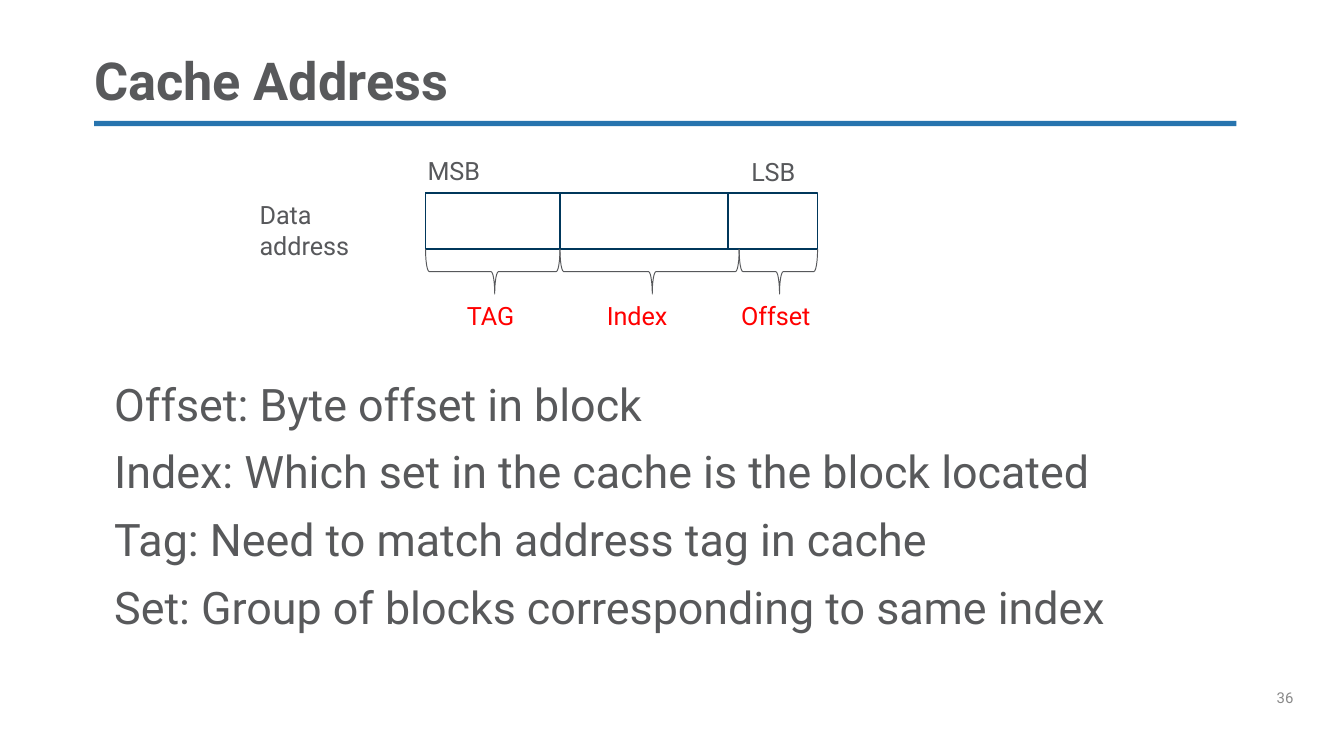
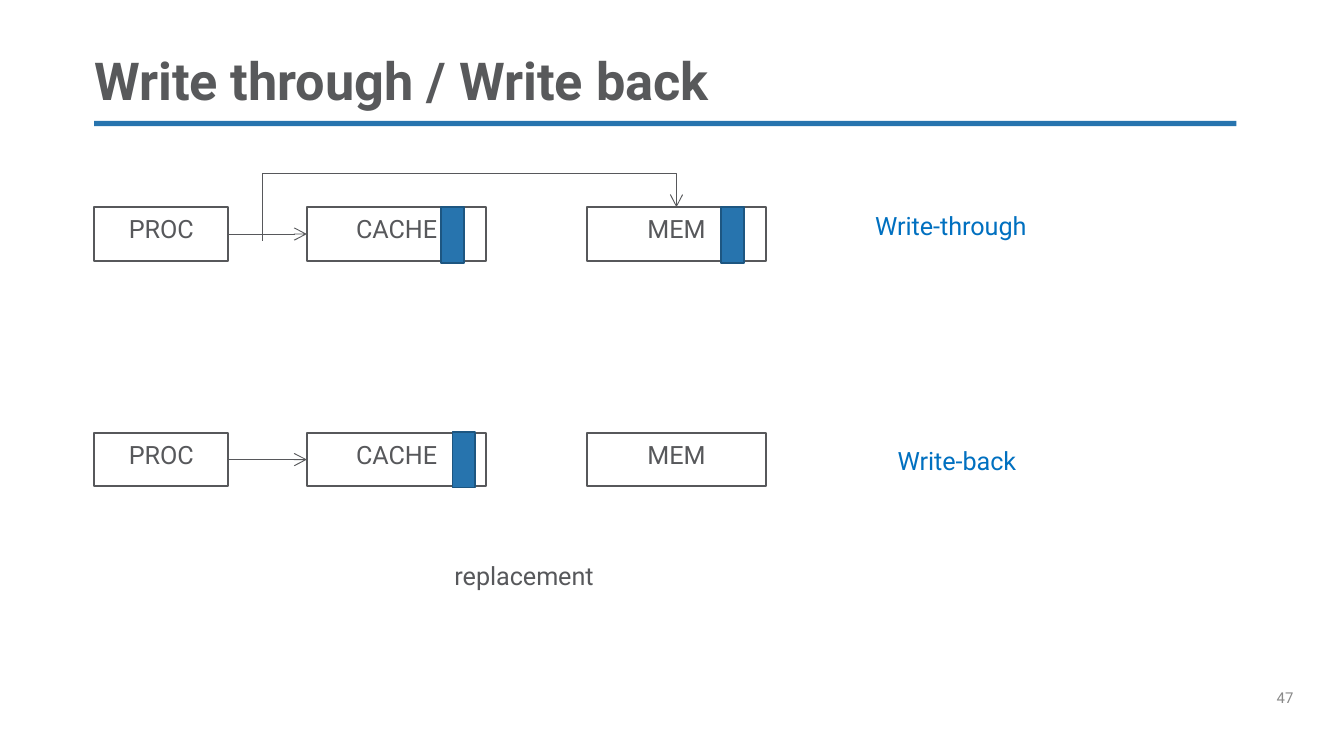
from dataclasses import dataclass

from lxml.etree import SubElement
from pptx import Presentation
from pptx.dml.color import RGBColor
from pptx.enum.shapes import MSO_CONNECTOR, MSO_SHAPE
from pptx.enum.text import MSO_ANCHOR, MSO_AUTO_SIZE, PP_ALIGN
from pptx.oxml.ns import qn
from pptx.util import Inches, Pt

FONT = "Roboto"
WHITE = RGBColor(0xFF, 0xFF, 0xFF)
GRAY = RGBColor(0x57, 0x58, 0x5B)
TITLE_GRAY = RGBColor(0x58, 0x59, 0x5B)
PAGE_GRAY = RGBColor(0x89, 0x89, 0x89)
BLUE = RGBColor(0x27, 0x74, 0xAE)
DARK_BLUE = RGBColor(0x1D, 0x56, 0x81)
NAVY = RGBColor(0x00, 0x37, 0x5B)
LABEL_BLUE = RGBColor(0x00, 0x70, 0xC0)
RED = RGBColor(0xFF, 0x00, 0x00)

SLIDE_WIDTH, SLIDE_HEIGHT = Inches(10), Inches(5.625)
COLUMNS, ROWS = 120, 67.5
FLUSH = {"margin_left": 0, "margin_top": 0, "margin_right": 0, "margin_bottom": 0}


@dataclass
class Box:
    """A rectangle in grid columns and rows of the slide."""

    column: float
    row: float
    columns: float
    rows: float

    def inner(self, column, row, columns, rows):
        """Return a box offset from this one's top left corner."""
        return Box(self.column + column, self.row + row, columns, rows)

    def point(self, column, row):
        """Return the slide position of a point offset from the top left corner."""
        return across(self.column + column), down(self.row + row)

    def frame(self):
        """Return left, top, width and height as slide lengths."""
        return across(self.column), down(self.row), across(self.columns), down(self.rows)


def across(columns):
    """Convert grid columns to a length."""
    return round(SLIDE_WIDTH * columns / COLUMNS)


def down(rows):
    """Convert grid rows to a length."""
    return round(SLIDE_HEIGHT * rows / ROWS)


def apply(target, values):
    """Set each attribute of a target from a dict."""
    for name, value in values.items():
        setattr(target, name, value)


def write(shape, text, color=GRAY, size=13.5, bold=False, frame=None, para=None):
    """Fill a shape with one paragraph for each line of text."""
    text_frame = shape.text_frame
    apply(text_frame, {"word_wrap": True, "auto_size": MSO_AUTO_SIZE.SHAPE_TO_FIT_TEXT,
                       "vertical_anchor": MSO_ANCHOR.TOP, **(frame or {})})
    for number, line in enumerate(text.split("\n")):
        paragraph = text_frame.add_paragraph() if number else text_frame.paragraphs[0]
        apply(paragraph, para or {})
        span = paragraph.add_run()
        span.text = line
        apply(span.font, {"name": FONT, "size": Pt(size), "bold": bold})
        span.font.color.rgb = color


def add_text(page, box, text, **style):
    """Add a text box."""
    shape = page.shapes.add_textbox(*box.frame())
    write(shape, text, **style)
    return shape


def add_label(page, box, text, color=GRAY, **style):
    """Add a short label that does not wrap."""
    return add_text(page, box, text, color=color, frame={"word_wrap": False}, **style)


def add_rectangle(page, box, fill=WHITE, line=None):
    """Add a flat rectangle with an optional outline."""
    shape = page.shapes.add_shape(MSO_SHAPE.RECTANGLE, *box.frame())
    shape.shadow.inherit = False
    shape.fill.solid()
    shape.fill.fore_color.rgb = fill
    if line is None:
        shape.line.fill.background()
    else:
        shape.line.color.rgb = line
        shape.line.width = Pt(1)
    return shape


def add_brace(page, box):
    """Add a brace that opens upward and fills the box."""
    left, top, width, height = box.frame()
    shift = (width - height) // 2
    brace = page.shapes.add_shape(MSO_SHAPE.LEFT_BRACE, left + shift, top - shift, height, width)
    brace.shadow.inherit = False
    brace.rotation = 270
    brace.adjustments[0], brace.adjustments[1] = 0.083, 0.515
    brace.fill.background()
    brace.line.color.rgb = GRAY
    brace.line.width = Pt(0.5)


def add_line(page, start, end, arrow=True, kind=MSO_CONNECTOR.STRAIGHT):
    """Add a thin connector with an optional arrowhead at its end."""
    connector = page.shapes.add_connector(kind, *start, *end)
    connector.line.color.rgb = GRAY
    connector.line.width = Pt(0.5)
    properties = connector._element.spPr
    if arrow:
        SubElement(properties.find(qn("a:ln")), qn("a:tailEnd"), type="arrow")
    if kind == MSO_CONNECTOR.ELBOW:
        properties.find(qn("a:prstGeom")).set("prst", "bentConnector2")
    SubElement(properties, qn("a:effectLst"))
    return connector


def add_page(deck, title, number):
    """Add a slide with its title, rule and page number."""
    page = deck.slides.add_slide(deck.slide_layouts[6])
    header = Box(8.4, 4.8, 102, 5.16)
    add_rectangle(page, header.inner(0, 6, 102, 0.48), BLUE)
    add_text(page, Box(114, 62.4, 6, 4.8), str(number), color=PAGE_GRAY, size=8,
             frame={**FLUSH, "margin_bottom": Inches(0.28)})
    add_text(page, header, title, color=TITLE_GRAY, size=28, bold=True,
             frame={**FLUSH, "vertical_anchor": MSO_ANCHOR.BOTTOM},
             para={"line_spacing": 0.9})
    return page


def add_address(page, box):
    """Draw the address word with its fields, braces and labels."""
    add_rectangle(page, box, line=NAVY)
    for column, columns in ((0, 12), (12, 15)):
        add_rectangle(page, box.inner(column, 0, columns, box.rows), line=NAVY)
    for column, columns in ((0, 12), (12, 16), (28, 7)):
        add_brace(page, box.inner(column, 5, columns, 4))
    for text, column, row, columns, color in (
        ("MSB", -1, -4, 9, GRAY),
        ("LSB", 27.9, -3.85, 8.2, GRAY),
        ("TAG", 2.5, 9, 8.4, RED),
        ("Index", 15, 9, 9.8, RED),
        ("Offset", 27, 9, 10.4, RED),
    ):
        add_label(page, box.inner(column, row, columns, 4.8), text, color)
    add_label(page, box.inner(-16, 0, 13.2, 8.5), "Data\naddress")


def add_definitions(page, box):
    """List the meaning of the address fields."""
    add_text(page, box, "Offset: Byte offset in block\n"
             "Index: Which set in the cache is the block located\n"
             "Tag: Need to match address tag in cache\n"
             "Set: Group of blocks corresponding to same index",
             color=TITLE_GRAY, size=24, frame=FLUSH, para={"space_before": Pt(7.5)})


def add_write_path(page, box, blocks, policy, policy_box):
    """Draw processor, cache and memory with their written blocks and policy name."""
    units = []
    for text, column, columns in (("PROC", 0, 12), ("CACHE", 19, 16), ("MEM", 44, 16)):
        unit = add_rectangle(page, box.inner(column, 0, columns, box.rows), line=GRAY)
        write(unit, text, para={"alignment": PP_ALIGN.CENTER})
        units.append(unit)
    arrow = add_line(page, box.point(12, 2.4), box.point(19, 2.4))
    arrow.begin_connect(units[0], 3)
    arrow.end_connect(units[1], 1)
    for column, row in blocks:
        add_rectangle(page, box.inner(column, row, 2, 5), BLUE, DARK_BLUE)
    label = add_label(page, box.inner(*policy_box), policy, LABEL_BLUE,
                      para={"level": 1, "line_spacing": 0.9})
    indent = label.text_frame.paragraphs[0]._p.get_or_add_pPr()
    indent.set("marL", str(Inches(0.38)))
    indent.set("indent", "0")


def add_bypass(page, box):
    """Draw the route from the processor's output around the cache to memory."""
    corner = box.point(15, -3)
    add_line(page, corner, box.point(52, 0), kind=MSO_CONNECTOR.ELBOW)
    add_line(page, box.point(15, 3), corner, arrow=False)


def build_cache_address(deck):
    """Build the slide on the parts of a cache address."""
    page = add_page(deck, "Cache Address", 36)
    add_definitions(page, Box(10.2, 33.6, 111.6, 23.4))
    add_address(page, Box(38, 17.25, 35, 5))


def build_write_policies(deck):
    """Build the slide on write policies."""
    page = add_page(deck, "Write through / Write back", 47)
    through = Box(8.4, 18.5, 60, 4.8)
    back = Box(8.4, 38.64, 60, 4.8)
    add_write_path(page, through, ((31, 0), (56, 0)), "Write-through", (64, 0, 26.8, 4.4))
    add_bypass(page, through)
    add_write_path(page, back, ((32, -0.1),), "Write-back", (66, 0.84, 22.9, 4.4))
    add_text(page, back.inner(31, 10.8, 27.4, 4.8), "replacement")


def main():
    """Build and save the deck."""
    deck = Presentation()
    deck.slide_width, deck.slide_height = SLIDE_WIDTH, SLIDE_HEIGHT
    build_cache_address(deck)
    build_write_policies(deck)
    deck.save("out.pptx")


if __name__ == "__main__":
    main()
